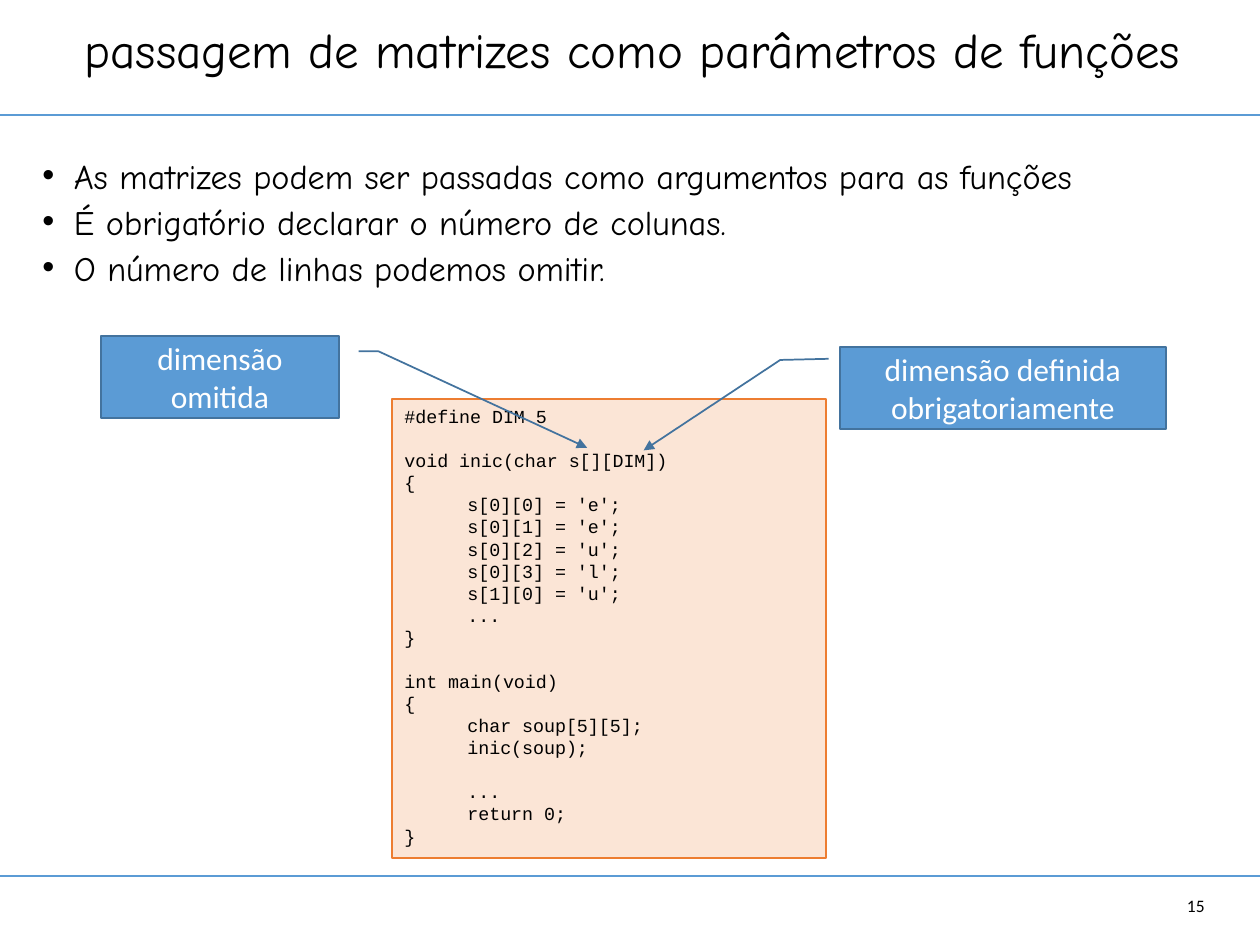
from pptx import Presentation
from pptx import util as u
from pptx.dml.color import RGBColor
from pptx.enum import shapes, text
from pptx.oxml.ns import qn
from lxml import etree

PIXEL = 914400 // 126
WIDTH, HEIGHT = 1260, 945
BLACK = RGBColor(0x00, 0x00, 0x00)
WHITE = RGBColor(0xFF, 0xFF, 0xFF)
BLUE = RGBColor(0x5B, 0x9B, 0xD5)
DARK_BLUE = RGBColor(0x43, 0x73, 0x9E)
ORANGE = RGBColor(0xED, 0x7D, 0x31)
PEACH = RGBColor(0xFB, 0xE5, 0xD6)
CODE_LINE = 12.6

TITLE = "passagem de matrizes como parâmetros de funções"
POINTS = [
    "As matrizes podem ser passadas como argumentos para as funções",
    "É obrigatório declarar o número de colunas.",
    "O número de linhas podemos omitir.",
]
CODE = """#define DIM 5

void inic(char s[][DIM])
{
\ts[0][0] = 'e';
\ts[0][1] = 'e';
\ts[0][2] = 'u';
\ts[0][3] = 'l';
\ts[1][0] = 'u';
\t...
}

int main(void)
{
\tchar soup[5][5];
\tinic(soup);

\t...
\treturn 0;
}"""
# Box, label and pointer points (y, x as fractions of the box)
CALLOUTS = [
    ((101, 336, 238, 82), "dimensão omitida",
     (0.188, -0.083, 0.188, -0.167, 1.363, -1.043)),
    ((840, 347, 326, 82), "dimensão definida obrigatoriamente",
     (0.144, 1.035, 0.158, 1.183, 1.261, 1.602)),
]


def px(*lengths):
    return [u.Emu(length * PIXEL) for length in lengths]


def write(shape, lines, font, size, color, align, anchor=text.MSO_ANCHOR.TOP):
    frame = shape.text_frame
    frame.word_wrap = True
    frame.vertical_anchor = anchor
    frame.text = "\n".join(lines)
    for paragraph in frame.paragraphs:
        paragraph.alignment = align
        for run in paragraph.runs:
            run.font.name = font
            run.font.size = u.Pt(size)
            run.font.color.rgb = color
    return frame.paragraphs


def add_box(slide, box, preset, fill, line, line_width):
    shape = slide.shapes.add_shape(preset, *px(*box))
    shape.shadow.inherit = False
    shape.fill.solid()
    shape.fill.fore_color.rgb = fill
    shape.line.color.rgb = line
    shape.line.width = u.Pt(line_width)
    return shape


def add_rule(slide, y):
    rule = slide.shapes.add_connector(
        shapes.MSO_CONNECTOR.STRAIGHT, *px(0, y, WIDTH, y))
    rule.line.color.rgb = BLUE
    rule.line.width = u.Pt(1.25)
    etree.SubElement(rule._element.spPr, qn("a:effectLst"))


def add_title(slide, box):
    shape = slide.shapes.add_textbox(*px(*box))
    paragraphs = write(shape, [TITLE], "Comic Neue", 28, BLACK,
                       text.PP_ALIGN.CENTER, text.MSO_ANCHOR.MIDDLE)
    paragraphs[0].line_spacing = 0.9


def add_points(slide, box):
    shape = slide.shapes.add_textbox(*px(*box))
    for paragraph in write(shape, POINTS, "Comic Neue", 19.6, BLACK,
                           text.PP_ALIGN.JUSTIFY):
        paragraph.line_spacing = 0.7
        paragraph.space_before = u.Pt(10)
        properties = paragraph._p.get_or_add_pPr()
        indent = u.Inches(0.25)
        properties.set("marL", str(indent))
        properties.set("indent", str(-indent))
        etree.SubElement(properties, qn("a:buFont"), typeface="Arial")
        etree.SubElement(properties, qn("a:buChar"), char="•")


def add_code(slide, box):
    shape = add_box(slide, box, shapes.MSO_SHAPE.RECTANGLE, PEACH, ORANGE, 0.75)
    # Each group after the first is set off by one line of space
    groups = [group.split("\n") for group in CODE.split("\n\n")]
    paragraphs = write(shape, sum(groups, []), "Courier New", 10.5, BLACK,
                       text.PP_ALIGN.LEFT)
    for paragraph in paragraphs:
        paragraph.line_spacing = u.Pt(CODE_LINE)
    start = 0
    for group in groups[:-1]:
        start += len(group)
        paragraphs[start].space_before = u.Pt(CODE_LINE)


def add_callout(slide, box, label, pointer):
    shape = add_box(slide, box, shapes.MSO_SHAPE.LINE_CALLOUT_2,
                    BLUE, DARK_BLUE, 1)
    for index, value in enumerate(pointer):
        shape.adjustments[index] = value
    shape._element.spPr.find(qn("a:xfrm")).set("flipH", "1")
    etree.SubElement(shape.line._get_or_add_ln(), qn("a:tailEnd"),
                     type="triangle")
    write(shape, [label], "Calibri", 18, WHITE, text.PP_ALIGN.CENTER,
          text.MSO_ANCHOR.MIDDLE)


def add_page_number(slide, box):
    shape = slide.shapes.add_textbox(*px(*box))
    write(shape, ["15"], "Calibri", 10, BLACK, text.PP_ALIGN.RIGHT,
          text.MSO_ANCHOR.MIDDLE)


presentation = Presentation()
presentation.slide_width, presentation.slide_height = px(WIDTH, HEIGHT)
slide = presentation.slides.add_slide(presentation.slide_layouts[6])

# Frame lines
for rule_y in (115, 876):
    add_rule(slide, rule_y)

# Heading and points
add_title(slide, (43, 0, 1179, 106))
add_points(slide, (30, 160, 1192, 174))
add_page_number(slide, (1116, 890, 101, 30))

# Code with its callouts
add_code(slide, (392, 399, 434, 459))
for callout in CALLOUTS:
    add_callout(slide, *callout)

presentation.save("out.pptx")
